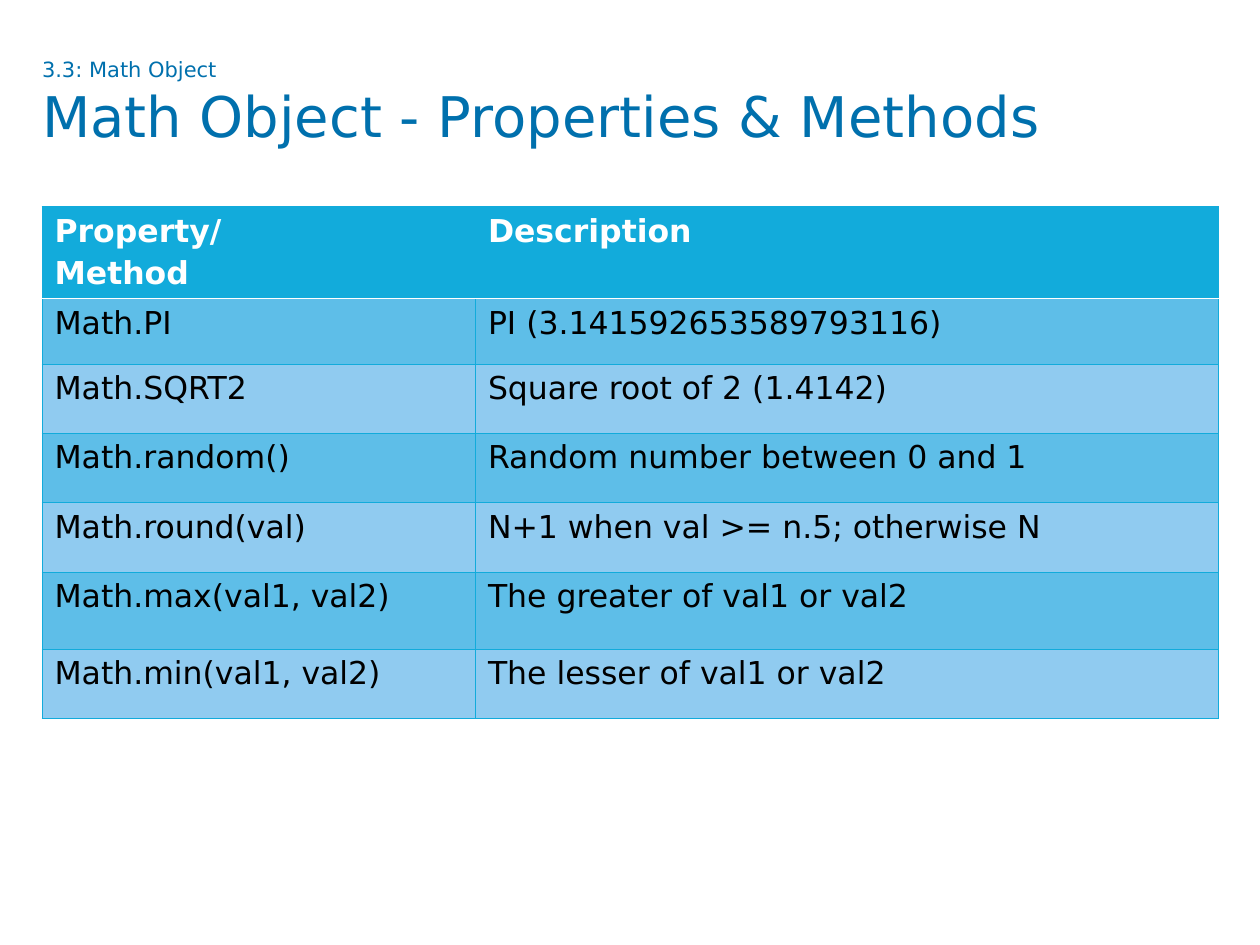
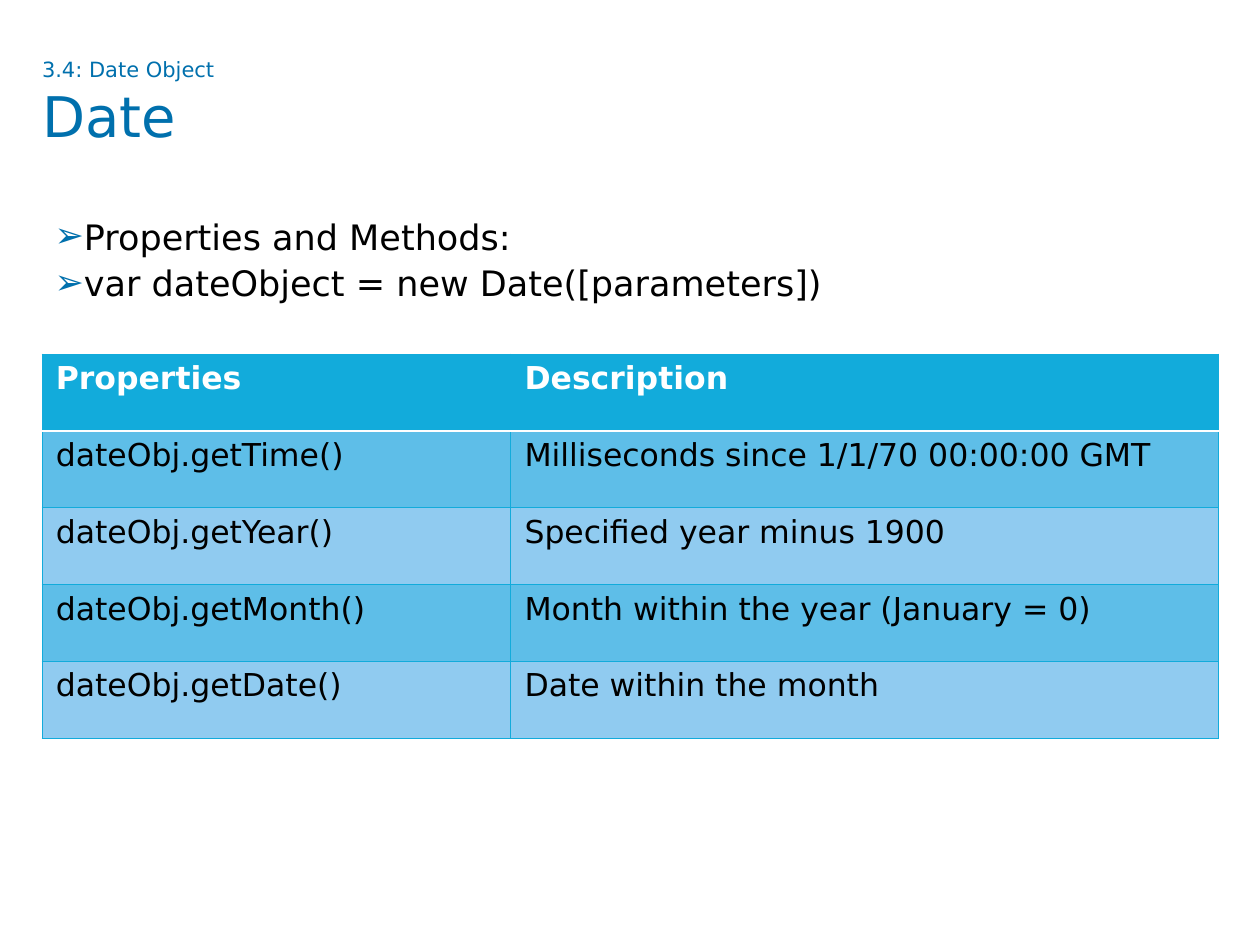
from lxml.etree import SubElement
from pptx import Presentation
from pptx.dml.color import RGBColor
from pptx.enum.text import MSO_ANCHOR, MSO_AUTO_SIZE, PP_ALIGN
from pptx.oxml import parse_xml
from pptx.oxml.ns import nsdecls, qn
from pptx.util import Inches, Pt

FONT = "DejaVu Sans"
BLUE = RGBColor(0x00, 0x70, 0xAD)
CYAN = RGBColor(0x12, 0xAB, 0xDB)
DARK = RGBColor(0x5E, 0xBE, 0xE8)
PALE = RGBColor(0x90, 0xCB, 0xF0)
WHITE = RGBColor(0xFF, 0xFF, 0xFF)
BLACK = RGBColor(0x00, 0x00, 0x00)

deck = Presentation()
deck.slide_width, deck.slide_height = Inches(10), Inches(7.5)
WIDE, HIGH = deck.slide_width, deck.slide_height
LEFT = WIDE // 30
SPAN = WIDE - 2 * LEFT

pages = [
    {
        "topic": "3.3: Math Object", "title": "Math Object - Properties & Methods",
        "items": [], "top": 1.64, "inset": 0.1, "cols": [3.44, 5.9],
        "rows": [0.73, 0.52, 0.55, 0.55, 0.55, 0.61, 0.55],
        "cells": [
            ("Property/\nMethod", "Description"),
            ("Math.PI", "PI (3.141592653589793116)"),
            ("Math.SQRT2", "Square root of 2 (1.4142)"),
            ("Math.random()", "Random number between 0 and 1"),
            ("Math.round(val)", "N+1 when val >= n.5; otherwise N"),
            ("Math.max(val1, val2)", "The greater of val1 or val2"),
            ("Math.min(val1, val2)", "The lesser of val1 or val2"),
        ],
    },
    {
        "topic": "3.4: Date Object", "title": "Date",
        "items": ["Properties and Methods:", "var dateObject = new Date([parameters])"],
        "top": 2.81, "inset": 0.11, "cols": [3.72, 5.62], "rows": [0.61] * 5,
        "cells": [
            ("Properties", "Description"),
            ("dateObj.getTime()", "Milliseconds since 1/1/70 00:00:00 GMT"),
            ("dateObj.getYear()", "Specified year minus 1900"),
            ("dateObj.getMonth()", "Month within the year (January = 0)"),
            ("dateObj.getDate()", "Date within the month"),
        ],
    },
]


def write(para, text, size=18, color=BLACK, bold=False, align=PP_ALIGN.LEFT,
          hang=0, before=0, lines=1.0, mark=None):
    """Add a run to a paragraph; hang is in inches, mark is a bullet sign."""
    run = para.add_run()
    run.text = text
    run.font.name, run.font.size, run.font.bold = FONT, Pt(size), bold
    run.font.color.rgb = color
    para.alignment = align
    para.space_before, para.line_spacing = Pt(before), lines
    props = para._p.get_or_add_pPr()
    props.set("marL", str(Inches(hang)))
    props.set("indent", str(-Inches(hang)))
    if mark:
        tint = SubElement(props, qn("a:buClr"))
        SubElement(tint, qn("a:srgbClr"), val=str(BLUE))
        SubElement(props, qn("a:buFont"), typeface=FONT)
        SubElement(props, qn("a:buChar"), char=mark)


def edge(cell, head, first):
    """Outline a cell in cyan, with a white rule under the header row."""
    props = cell._tc.get_or_add_tcPr()
    for spot, side in enumerate("LRTB"):
        rule = (head and side == "B") or (first and side == "T")
        color, width = (WHITE, Pt(1)) if rule else (CYAN, Pt(0.5))
        props.insert(spot, parse_xml(
            f'<a:ln{side} {nsdecls("a")} w="{width}"><a:solidFill>'
            f'<a:srgbClr val="{color}"/></a:solidFill></a:ln{side}>'))


for page in pages:
    layout = deck.slide_layouts[1 if page["items"] else 5]
    slide = deck.slides.add_slide(layout)

    title = slide.shapes.title
    title.left, title.top = LEFT, int(HIGH * 0.06)
    title.width, title.height = SPAN, HIGH // 8
    frame = title.text_frame
    frame.margin_left = frame.margin_right = frame.margin_top = frame.margin_bottom = 0
    frame.vertical_anchor, frame.auto_size = MSO_ANCHOR.TOP, MSO_AUTO_SIZE.NONE
    para = frame.paragraphs[0]
    write(para, page["topic"], size=12, color=BLUE)
    para.add_line_break()
    write(para, page["title"], size=32, color=BLUE)

    if page["items"]:
        body = slide.placeholders[1]
        body.left, body.top = LEFT, int(HIGH * 0.17)
        body.width, body.height = WIDE * 13 // 15, int(HIGH * 0.158)
        frame = body.text_frame
        frame.vertical_anchor, frame.auto_size = MSO_ANCHOR.BOTTOM, MSO_AUTO_SIZE.NONE
        for spot, item in enumerate(page["items"]):
            para = frame.add_paragraph() if spot else frame.paragraphs[0]
            write(para, item, size=20, align=PP_ALIGN.JUSTIFY, hang=0.23,
                  before=7.5, lines=0.8, mark="➢")

    rows, cols = page["rows"], page["cols"]
    table = slide.shapes.add_table(
        len(rows), len(cols), LEFT, Inches(page["top"]),
        Inches(sum(cols)), Inches(sum(rows))).table
    for col, width in zip(table.columns, cols):
        col.width = Inches(width)
    for row, height in zip(table.rows, rows):
        row.height = Inches(height)

    for r, texts in enumerate(page["cells"]):
        head = r == 0
        for c, text in enumerate(texts):
            cell = table.cell(r, c)
            cell.margin_left = cell.margin_right = Inches(page["inset"])
            cell.fill.solid()
            cell.fill.fore_color.rgb = CYAN if head else DARK if r % 2 else PALE
            edge(cell, head, r == 1)
            frame = cell.text_frame
            for spot, line in enumerate(text.split("\n")):
                para = frame.add_paragraph() if spot else frame.paragraphs[0]
                write(para, line, color=WHITE if head else BLACK, bold=head,
                      hang=0.38, before=3.6)

deck.save("out.pptx")
